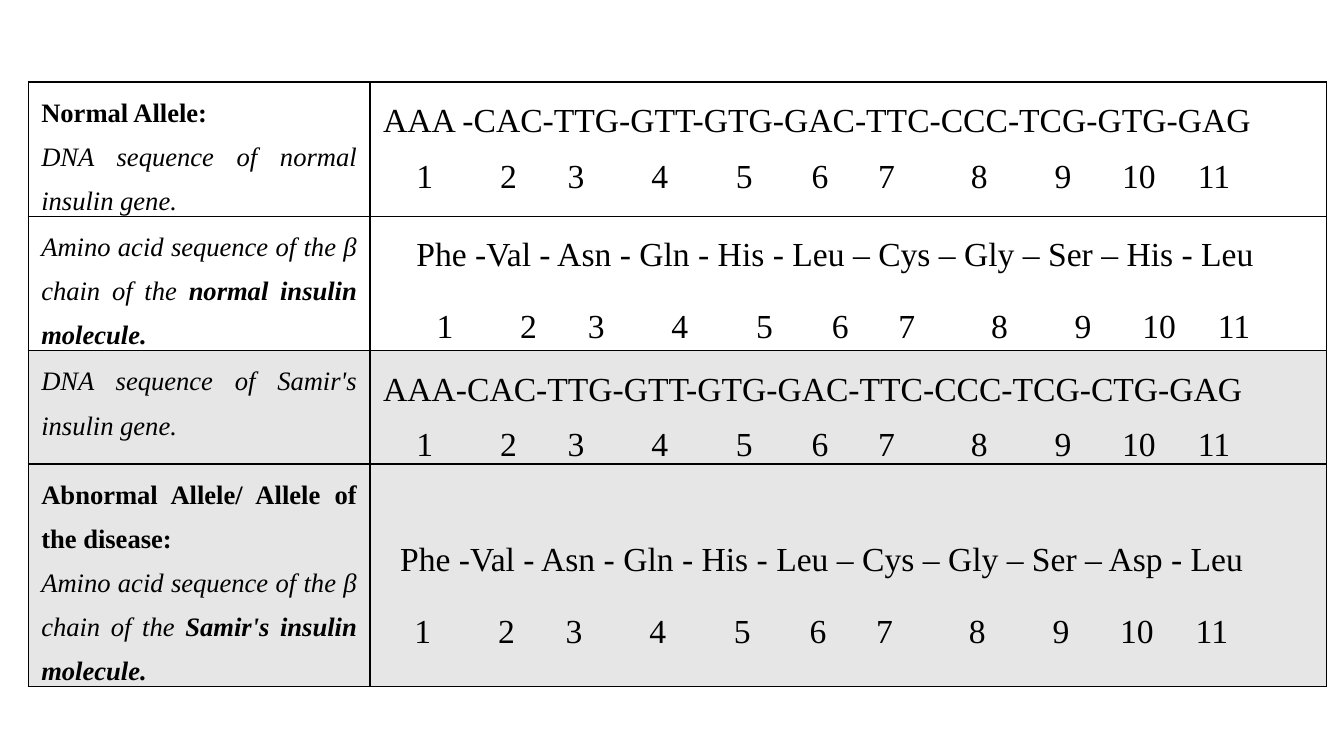
"""Build a slide comparing normal and abnormal insulin alleles in a table."""
from dataclasses import dataclass

from lxml import etree
from pptx import Presentation
from pptx import util as u
from pptx.dml.color import RGBColor
from pptx.enum import text
from pptx.oxml import ns

WIDTH, HEIGHT = u.Inches(13.33), u.Inches(7.5)
FONT, INK, GREY = "Times New Roman", "000000", "E7E6E6"
LABEL_SIZE, SEQUENCE_SIZE, TALL_SIZE = 19, 24, 32
LEFT, TOP = 2.1, 10.85
COLUMNS = (25.43, 71.19)
CODON_STOPS = (0, 0.83, 1.5, 2.33, 3.17, 3.92, 4.58, 5.5, 6.33, 7, 7.75)
CHAIN = "Amino acid sequence of the β chain of the "


@dataclass(frozen=True)
class Run:
    """A piece of label text with its emphasis."""
    words: str
    bold: bool = False
    italic: bool = True


@dataclass(frozen=True)
class Row:
    """One table row: label paragraphs and a numbered sequence."""
    height: float
    label: tuple[tuple[Run, ...], ...]
    sequence: str
    indent: float
    number_start: float
    lead_size: int
    fill: str | None = None
    top: float = 0.02


ROWS = (
    Row(17.73, ((Run("Normal Allele:", True, False),),
                (Run("DNA sequence of normal insulin gene. "),)),
        "AAA -CAC-TTG-GTT-GTG-GAC-TTC-CCC-TCG-GTG-GAG", 0, 0.33, SEQUENCE_SIZE),
    Row(17.73, ((Run(CHAIN), Run("normal insulin molecule.", True)),),
        "Phe -Val - Asn - Gln - His - Leu – Cys – Gly – Ser – His - Leu",
        0.33, 0.53, TALL_SIZE),
    Row(14.93, ((Run("DNA sequence of Samir's insulin gene."),),),
        "AAA-CAC-TTG-GTT-GTG-GAC-TTC-CCC-TCG-CTG-GAG", 0, 0.33, SEQUENCE_SIZE, GREY),
    Row(29.4, ((Run("Abnormal Allele/ Allele of the disease:", True, False),),
               (Run(CHAIN), Run("Samir's insulin molecule.", True))),
        "Phe -Val - Asn - Gln - His - Leu – Cys – Gly – Ser – Asp - Leu",
        0.17, 0.31, TALL_SIZE, GREY, 0.58),
)


def across(share: float) -> int:
    """Turn a percentage of the slide's width into a length."""
    return u.Emu(round(WIDTH * share / 100))


def down(share: float) -> int:
    """Turn a percentage of the slide's height into a length."""
    return u.Emu(round(HEIGHT * share / 100))


def color(value: str) -> RGBColor:
    """Turn a hex string into a colour."""
    return RGBColor.from_string(value)


def style(p, size: int, align=text.PP_ALIGN.LEFT) -> None:
    """Set the spacing, alignment and font of a paragraph."""
    p.line_spacing = 1.5
    p.alignment = align
    p.font.name, p.font.size = FONT, u.Pt(size)
    p.font.color.rgb = color(INK)


def add_run(p, words: str):
    """Append a run of text to a paragraph."""
    r = p.add_run()
    r.text = words
    return r


def set_tabs(p, start: float) -> None:
    """Place one tab stop for each codon number."""
    tabs = etree.SubElement(p._p.get_or_add_pPr(), ns.qn("a:tabLst"))
    for stop in CODON_STOPS:
        etree.SubElement(tabs, ns.qn("a:tab"),
                         pos=str(u.Inches(start + stop)), algn="l")


def format_cell(cell, fill: str | None, top: float = 0.02) -> None:
    """Give a cell its margins, borders and fill."""
    cell.margin_left = cell.margin_right = u.Inches(0.13)
    cell.margin_top, cell.margin_bottom = u.Inches(top), 0
    tc_pr = cell._tc.get_or_add_tcPr()
    for side in "LRTB":
        ln = etree.SubElement(tc_pr, ns.qn(f"a:ln{side}"), w=str(u.Pt(1)))
        solid = etree.SubElement(ln, ns.qn("a:solidFill"))
        etree.SubElement(solid, ns.qn("a:srgbClr"), val=INK)
    if fill:
        cell.fill.solid()
        cell.fill.fore_color.rgb = color(fill)
    else:
        cell.fill.background()


def write_label(cell, row: Row) -> None:
    """Write the justified description of a row."""
    format_cell(cell, row.fill)
    tf = cell.text_frame
    for i, runs in enumerate(row.label):
        p = tf.add_paragraph() if i else tf.paragraphs[0]
        style(p, LABEL_SIZE, text.PP_ALIGN.JUSTIFY)
        for run in runs:
            r = add_run(p, run.words)
            r.font.bold, r.font.italic = run.bold, run.italic


def write_sequence(cell, row: Row) -> None:
    """Write a sequence with its codon numbers beneath."""
    format_cell(cell, row.fill, row.top)
    tf = cell.text_frame
    p = tf.paragraphs[0]
    p._p.get_or_add_pPr().set("marL", str(u.Inches(row.indent)))
    style(p, SEQUENCE_SIZE)
    add_run(p, row.sequence)
    p = tf.add_paragraph()
    set_tabs(p, row.number_start)
    style(p, SEQUENCE_SIZE)
    numbers = "\t".join(str(n + 1) for n in range(len(CODON_STOPS)))
    if row.lead_size == SEQUENCE_SIZE:
        add_run(p, "\t" + numbers)
    else:
        add_run(p, "\t").font.size = u.Pt(row.lead_size)
        add_run(p, numbers)


def main() -> None:
    """Build and save the slide."""
    prs = Presentation()
    prs.slide_width, prs.slide_height = WIDTH, HEIGHT
    s = prs.slides.add_slide(prs.slide_layouts[6])
    table = s.shapes.add_table(
        len(ROWS), len(COLUMNS), across(LEFT), down(TOP), across(sum(COLUMNS)),
        down(sum(row.height for row in ROWS))).table
    table.first_row = table.horz_banding = False
    for column, share in zip(table.columns, COLUMNS):
        column.width = across(share)
    for i, row in enumerate(ROWS):
        table.rows[i].height = down(row.height)
        write_label(table.cell(i, 0), row)
        write_sequence(table.cell(i, 1), row)
    prs.save("out.pptx")


if __name__ == "__main__":
    main()
